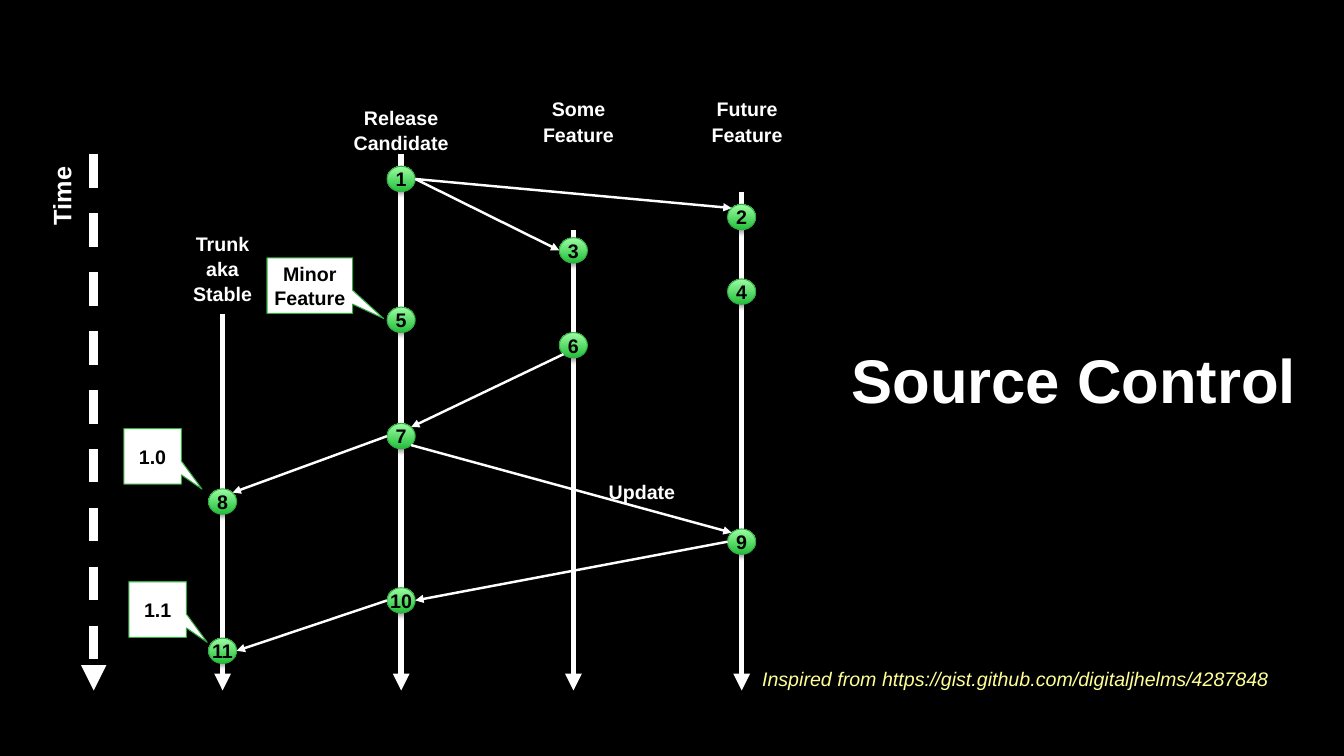
from math import sqrt

from pptx import Presentation
from pptx.dml.color import RGBColor
from pptx.enum.dml import MSO_LINE
from pptx.enum.shapes import MSO_CONNECTOR, MSO_SHAPE
from pptx.enum.text import MSO_ANCHOR, MSO_AUTO_SIZE, PP_ALIGN
from pptx.oxml import parse_xml
from pptx.oxml.ns import nsdecls, qn
from pptx.util import Cm, Pt
from lxml import etree

BLACK = RGBColor(0x00, 0x00, 0x00)
WHITE = RGBColor(0xFF, 0xFF, 0xFF)
YELLOW = RGBColor(0xFF, 0xFF, 0x96)
GREEN_DARK = RGBColor(0x23, 0xBE, 0x39)
GREEN_LIGHT = RGBColor(0x9C, 0xFD, 0xA3)
GREEN_LINE = RGBColor(0x31, 0xAB, 0x42)

LABEL = 2.54  # side of a label's box
COMMIT_W, COMMIT_H = 0.71, 0.64
CALLOUT_H = 1.4

# Branch: x, start of its line, label, label shift, label top
BRANCHES = {
    "trunk": (0, 4.03, "Trunk\naka\nStable", 0, 1.9),
    "release": (4.5, 0, "Release Candidate", 0, -1.27),
    "some": (8.84, 1.9, "Some\nFeature", 0.13, -1.48),
    "future": (13.08, 0.94, "Future\nFeature", 0.14, -1.48),
}
# Commit number: branch, centre height
COMMITS = {
    1: ("release", 0.62), 2: ("future", 1.58), 3: ("some", 2.42),
    4: ("future", 3.46), 5: ("release", 4.17), 6: ("some", 4.81),
    7: ("release", 7.1), 8: ("trunk", 8.75), 9: ("future", 9.76),
    10: ("release", 11.24), 11: ("trunk", 12.51),
}
# Points on a commit's rim, as parts of its half width and half height
D = 1 / sqrt(2)
RIM = {"left": (-1, 0), "right": (1, 0), "top left": (-D, -D),
       "top right": (D, -D), "bottom left": (-D, D), "bottom right": (D, D)}
MERGES = [
    (1, "right", 3, "left"), (1, "right", 2, "top left"),
    (6, "bottom left", 7, "top right"), (7, "left", 8, "top right"),
    (7, "bottom right", 9, "top left"), (9, "left", 10, "right"),
    (10, "left", 11, "right"),
]
# Callout: text, left, top, width
CALLOUTS = [("Minor\nFeature", 1.12, 2.61, 2.16),
            ("1.0", -2.49, 6.91, 1.45), ("1.1", -2.36, 10.77, 1.45)]


def write(tf, text, size=14, color=WHITE, bold=True, italic=False,
          align=PP_ALIGN.LEFT, spacing=Pt(18), wrap=False):
    tf.word_wrap = wrap
    for i, line in enumerate(text.split("\n")):
        p = tf.paragraphs[0] if i == 0 else tf.add_paragraph()
        p.alignment = align
        if spacing:
            p.line_spacing = spacing
        r = p.add_run()
        r.text = line
        f = r.font
        f.name, f.size, f.bold, f.italic = "Arial", Pt(size), bold, italic
        f.color.rgb = color


def clear_margins(tf):
    tf.margin_left = tf.margin_top = tf.margin_right = tf.margin_bottom = 0


def add_text(slide, box, text, **fmt):
    sp = slide.shapes.add_textbox(*(Cm(v) for v in box))
    clear_margins(sp.text_frame)
    write(sp.text_frame, text, **fmt)
    return sp


def add_arrow(slide, start, end, width, dash=None):
    line = slide.shapes.add_connector(
        MSO_CONNECTOR.STRAIGHT, *(Cm(v) for v in (*start, *end)))
    line.line.color.rgb = WHITE
    line.line.width = Pt(width)
    if dash:
        line.line.dash_style = dash
    etree.SubElement(line.line._get_or_add_ln(), qn("a:tailEnd"), type="triangle")
    etree.SubElement(line._element.spPr, qn("a:effectLst"))


def add_node(slide, kind, box, text):
    """Add a green-edged shape with a soft shadow and centred text."""
    sp = slide.shapes.add_shape(kind, *(Cm(v) for v in box))
    sp.line.color.rgb = GREEN_LINE
    sp.line.width = Pt(0.75)
    sp.shadow.inherit = False
    sp._element.spPr.find(qn("a:effectLst")).append(parse_xml(
        f'<a:outerShdw {nsdecls("a")} blurRad="{Pt(3.1)}" dist="{Pt(1.8)}" '
        'dir="5400000" rotWithShape="0"><a:srgbClr val="000000">'
        '<a:alpha val="35000"/></a:srgbClr></a:outerShdw>'))
    sp.text_frame.vertical_anchor = MSO_ANCHOR.MIDDLE
    write(sp.text_frame, text, color=BLACK, align=PP_ALIGN.CENTER, spacing=None)
    return sp


def add_time_axis(slide, left, top, width, height):
    x = left + width
    add_arrow(slide, (x, top), (x, top + height), 6, MSO_LINE.DASH)
    w, h = 3.56, 0.91
    sp = add_text(slide, (left + (h - w) / 2, top - h / 2, w, h), "Time", size=18)
    sp.rotation = 270


def add_branch_graph(slide, left, top, height):
    # Branch lines and their labels
    for x, start, label, shift, label_top in BRANCHES.values():
        add_arrow(slide, (left + x, top + start), (left + x, top + height), 4)
        add_text(slide, (left + x + shift - LABEL / 2, top + label_top, LABEL, LABEL),
                 label, align=PP_ALIGN.CENTER)

    # Commits
    centres = {n: (left + BRANCHES[branch][0], top + y)
               for n, (branch, y) in COMMITS.items()}
    for n, (x, y) in centres.items():
        sp = add_node(slide, MSO_SHAPE.OVAL,
                      (x - COMMIT_W / 2, y - COMMIT_H / 2, COMMIT_W, COMMIT_H), str(n))
        sp.fill.gradient()
        sp.fill.gradient_angle = 90
        for stop, color in zip(sp.fill.gradient_stops, (GREEN_DARK, GREEN_LIGHT)):
            stop.color.rgb = color

    # Branching and merging arrows
    def rim_point(n, side):
        (x, y), (dx, dy) = centres[n], RIM[side]
        return x + dx * COMMIT_W / 2, y + dy * COMMIT_H / 2

    for source, out_side, target, in_side in MERGES:
        add_arrow(slide, rim_point(source, out_side), rim_point(target, in_side), 1.75)
    add_text(slide, (left + 9.73, top + 8.15, LABEL, LABEL), "Update")

    # Callouts
    for text, x, y, width in CALLOUTS:
        sp = add_node(slide, MSO_SHAPE.RECTANGULAR_CALLOUT,
                      (left + x, top + y, width, CALLOUT_H), text)
        sp.adjustments[0], sp.adjustments[1] = 0.86, 0.59
        sp.fill.solid()
        sp.fill.fore_color.rgb = WHITE


def set_title(slide, left, top, width, height):
    sp = slide.shapes.title
    sp.left, sp.top, sp.width, sp.height = (Cm(v) for v in (left, top, width, height))
    tf = sp.text_frame
    clear_margins(tf)
    tf.auto_size = MSO_AUTO_SIZE.NONE
    tf.vertical_anchor = MSO_ANCHOR.TOP
    write(tf, "Source Control", size=44)


def add_credit(slide, *box):
    add_text(slide, box, "Inspired from https://gist.github.com/digitaljhelms/4287848",
             color=YELLOW, bold=False, italic=True, align=PP_ALIGN.RIGHT, wrap=True)


def main():
    prs = Presentation()
    prs.slide_width, prs.slide_height = Cm(33.87), Cm(19.05)
    slide = prs.slides.add_slide(prs.slide_layouts[5])
    slide.background.fill.solid()
    slide.background.fill.fore_color.rgb = BLACK
    add_time_axis(slide, 1.29, 3.89, 1.07, 13.51)
    add_branch_graph(slide, 5.61, 3.89, 13.51)
    set_title(slide, 21.46, 9.83, 11.3, 2.54)
    add_credit(slide, 1.93, 16.76, 30.05, 0.79)
    prs.save("out.pptx")


if __name__ == "__main__":
    main()
